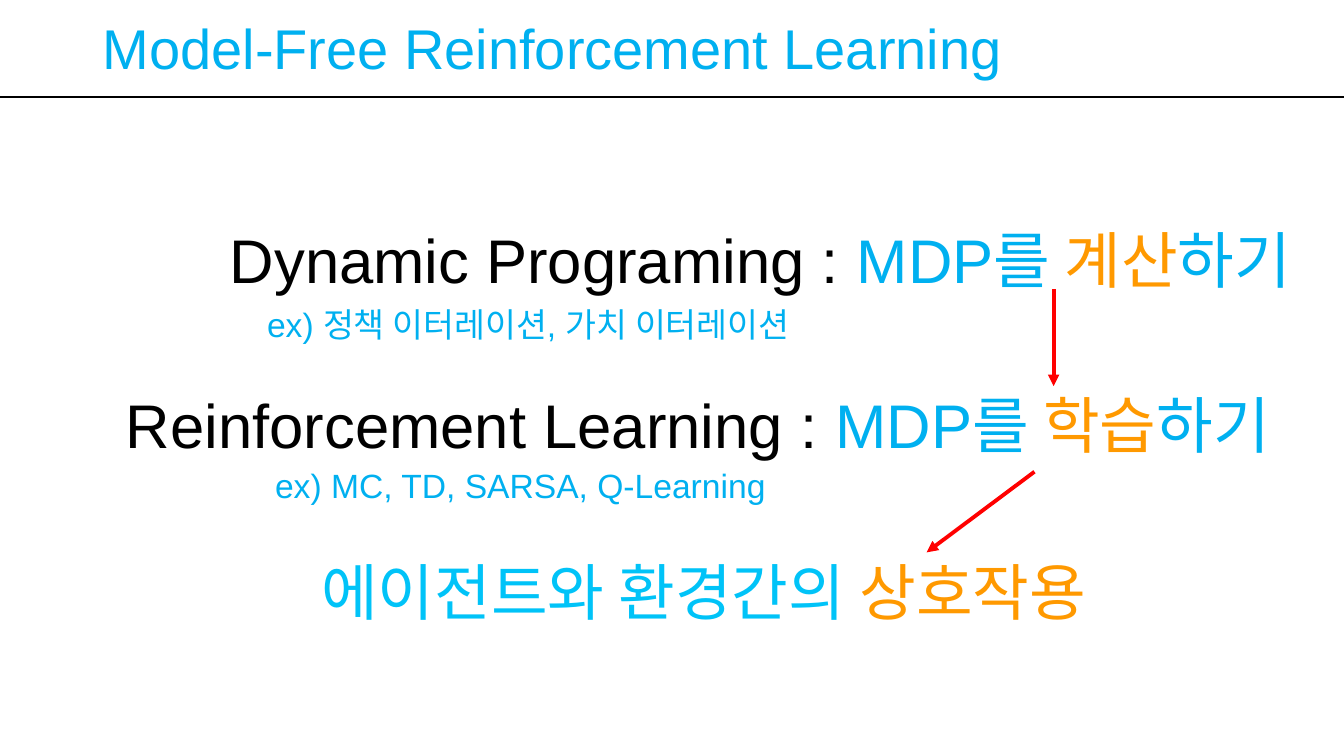
from lxml import etree
from pptx import Presentation
from pptx.dml.color import RGBColor
from pptx.enum.shapes import MSO_CONNECTOR
from pptx.enum.text import MSO_ANCHOR, PP_ALIGN
from pptx.oxml.ns import qn
from pptx.util import Inches, Pt

STRAIGHT = MSO_CONNECTOR.STRAIGHT
MIDDLE = MSO_ANCHOR.MIDDLE
LEFT, CENTER = PP_ALIGN.LEFT, PP_ALIGN.CENTER
FONT = "Arial"
SLIDE_WIDTH, SLIDE_HEIGHT = 13.33, 7.5
COLORS = {
    "black": "000000",
    "blue": "00B0F0",
    "sky": "00C3F8",
    "orange": "FF9900",
    "red": "FF0000",
}


def add_text_frame(slide, box):
    """Add a wrapping, vertically centred text box and return its frame."""
    frame = slide.shapes.add_textbox(*map(Inches, box)).text_frame
    frame.word_wrap = True
    frame.vertical_anchor = MIDDLE
    return frame


def write_paragraph(paragraph, runs, size, spacing, alignment=LEFT, indent=0):
    """Fill a paragraph with (text, colour) runs of one font size."""
    if indent:
        properties = paragraph._p.get_or_add_pPr()
        properties.set("marL", str(Inches(indent)))
        properties.set("indent", "0")
    paragraph.alignment = alignment
    paragraph.line_spacing = spacing
    paragraph.font.name = FONT
    paragraph.font.size = Pt(size)
    for text, color in runs:
        run = paragraph.add_run()
        run.text = text
        run.font.color.rgb = RGBColor.from_string(COLORS[color])


def add_line(slide, start, end, color, width, arrow=False):
    """Draw a straight line, with an arrowhead at its end if asked."""
    points = map(Inches, (*start, *end))
    connector = slide.shapes.add_connector(STRAIGHT, *points)
    connector.line.color.rgb = RGBColor.from_string(COLORS[color])
    connector.line.width = Pt(width)
    if arrow:
        outline = connector.line._get_or_add_ln()
        etree.SubElement(outline, qn("a:tailEnd"), type="triangle")
    etree.SubElement(connector._element.spPr, qn("a:effectLst"))


def add_header(slide, box, title):
    """Add the slide title with a full-width rule below it."""
    left, top, width, height = box
    rule = top + height + 0.01
    add_line(slide, (0, rule), (SLIDE_WIDTH, rule), "black", 1.5)
    frame = add_text_frame(slide, box)
    write_paragraph(frame.paragraphs[0], [(title, "blue")], 40, 0.9)


def add_method(slide, box, name, verb, examples, spacing, indent):
    """Add a method's definition with its indented examples."""
    frame = add_text_frame(slide, box)
    definition = [
        (f"{name} : ", "black"),
        ("MDP를 ", "blue"),
        (verb, "orange"),
        ("하기", "blue"),
    ]
    write_paragraph(frame.paragraphs[0], definition, 44, spacing)
    write_paragraph(frame.add_paragraph(), [(f"ex) {examples}", "blue")],
                    24, spacing, indent=indent)


def add_conclusion(slide, box):
    """Add the centred closing statement."""
    runs = [("에이전트와 환경간의 ", "sky"), ("상호작용", "orange")]
    frame = add_text_frame(slide, box)
    write_paragraph(frame.paragraphs[0], runs, 44, 0.9, CENTER)


def main():
    """Build and save the presentation."""
    presentation = Presentation()
    presentation.slide_width = Inches(SLIDE_WIDTH)
    presentation.slide_height = Inches(SLIDE_HEIGHT)
    slide = presentation.slides.add_slide(presentation.slide_layouts[6])

    add_header(slide, (0.92, 0.06, 11.5, 0.89),
               "Model-Free Reinforcement Learning")
    add_method(slide, (1.15, 3.64, 12.44, 1.49), "Reinforcement Learning",
               "학습", "MC, TD, SARSA, Q-Learning", 1.1, 1.48)
    add_method(slide, (2.18, 1.96, 12.52, 1.56), "Dynamic Programing",
               "계산", "정책 이터레이션, 가치 이터레이션", 1.2, 0.37)
    add_line(slide, (10.45, 2.87), (10.45, 3.83), "red", 2.75, arrow=True)
    add_conclusion(slide, (1.23, 5.48, 11.5, 0.86))
    add_line(slide, (10.26, 4.68), (9.19, 5.48), "red", 2.75, arrow=True)

    presentation.save("out.pptx")


if __name__ == "__main__":
    main()
